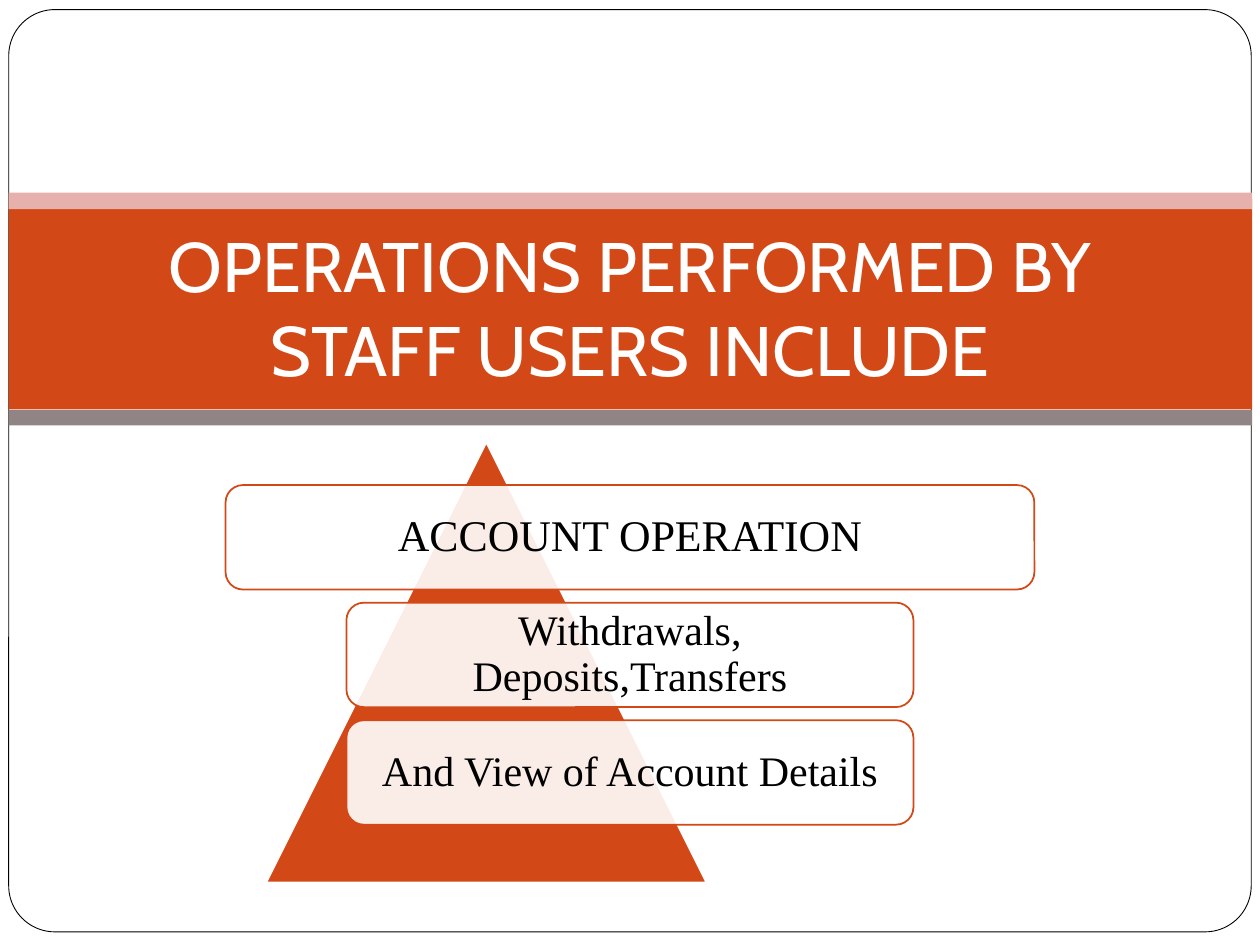
from lxml import etree
from pptx import Presentation
from pptx.dml.color import RGBColor
from pptx.enum.shapes import MSO_SHAPE
from pptx.enum.text import MSO_ANCHOR, MSO_AUTO_SIZE, PP_ALIGN
from pptx.oxml.ns import qn
from pptx.util import Pt

RECT = MSO_SHAPE.RECTANGLE
ROUND = MSO_SHAPE.ROUNDED_RECTANGLE
PEAK = MSO_SHAPE.ISOSCELES_TRIANGLE
MIDDLE = MSO_ANCHOR.MIDDLE
CENTER = PP_ALIGN.CENTER
NO_FIT = MSO_AUTO_SIZE.NONE


def color(code):
    return RGBColor.from_string(code)


class Deck:
    accent, rose, gray = "D34817", "E6B1AC", "918485"
    white, black = "FFFFFF", "000000"
    head, body = "Cabin", "Times New Roman"

    def __init__(self, wide, high):
        self.file = Presentation()
        self.file.slide_width, self.file.slide_height = Pt(wide), Pt(high)
        self.slide = self.file.slides.add_slide(self.file.slide_layouts[5])

    def shape(self, kind, box, fill, line=None, width=1):
        item = self.slide.shapes.add_shape(kind, *map(Pt, box))
        item.shadow.inherit = False
        item.fill.solid()
        item.fill.fore_color.rgb = color(fill)
        if line:
            item.line.color.rgb = color(line)
            item.line.width = Pt(width)
        else:
            item.line.fill.background()
        return item

    def text(self, item, words, font, size, ink, top=7.2):
        frame = item.text_frame
        frame.text = words
        frame.word_wrap = True
        frame.auto_size = NO_FIT
        frame.vertical_anchor = MIDDLE
        frame.margin_left = frame.margin_right = frame.margin_bottom = Pt(7.2)
        frame.margin_top = Pt(top)
        para = frame.paragraphs[0]
        para.alignment = CENTER
        para.font.name = font
        para.font.size = Pt(size)
        para.font.color.rgb = color(ink)
        return para

    def card(self, box, words, size):
        item = self.shape(ROUND, box, self.white, self.accent)
        tint = item.fill._xPr.find(qn("a:solidFill"))[0]
        etree.SubElement(tint, qn("a:alpha")).set("val", "90000")
        para = self.text(item, words, self.body, size, self.black)
        para.line_spacing = 0.9

    def title(self, box, words):
        item = self.slide.shapes.title
        item.left, item.top, item.width, item.height = map(Pt, box)
        self.text(item, words, self.head, 40, self.white, 3.6)
        self.slide.shapes._spTree.append(item._element)


def main():
    deck = Deck(720, 540)
    frame = deck.shape(ROUND, (5, 5.5, 710, 527), deck.white, deck.black, 0.5)
    frame.adjustments[0] = 0.05
    bands = [(113.8, 120.2, deck.accent), (110, 9.5, deck.rose),
             (234.4, 8.7, deck.gray)]
    for top, high, fill in bands:
        deck.shape(RECT, (5, top, 710.5, high), fill)

    deck.shape(PEAK, (152.2, 252.8, 251.5, 251.5), deck.accent, deck.white)
    cards = [("ACCOUNT OPERATION", 462.2, 25),
             ("Withdrawals, Deposits,Transfers", 324, 24),
             ("And View of Account Details", 324, 24)]
    for row, (words, wide, size) in enumerate(cards):
        box = ((720 - wide) / 2, 277.2 + 67.2 * row, wide, 59.7)
        deck.card(box, words, size)

    deck.title((36, 118.8, 648, 116), "OPERATIONS PERFORMED BY STAFF USERS INCLUDE")
    deck.file.save("out.pptx")


if __name__ == "__main__":
    main()
